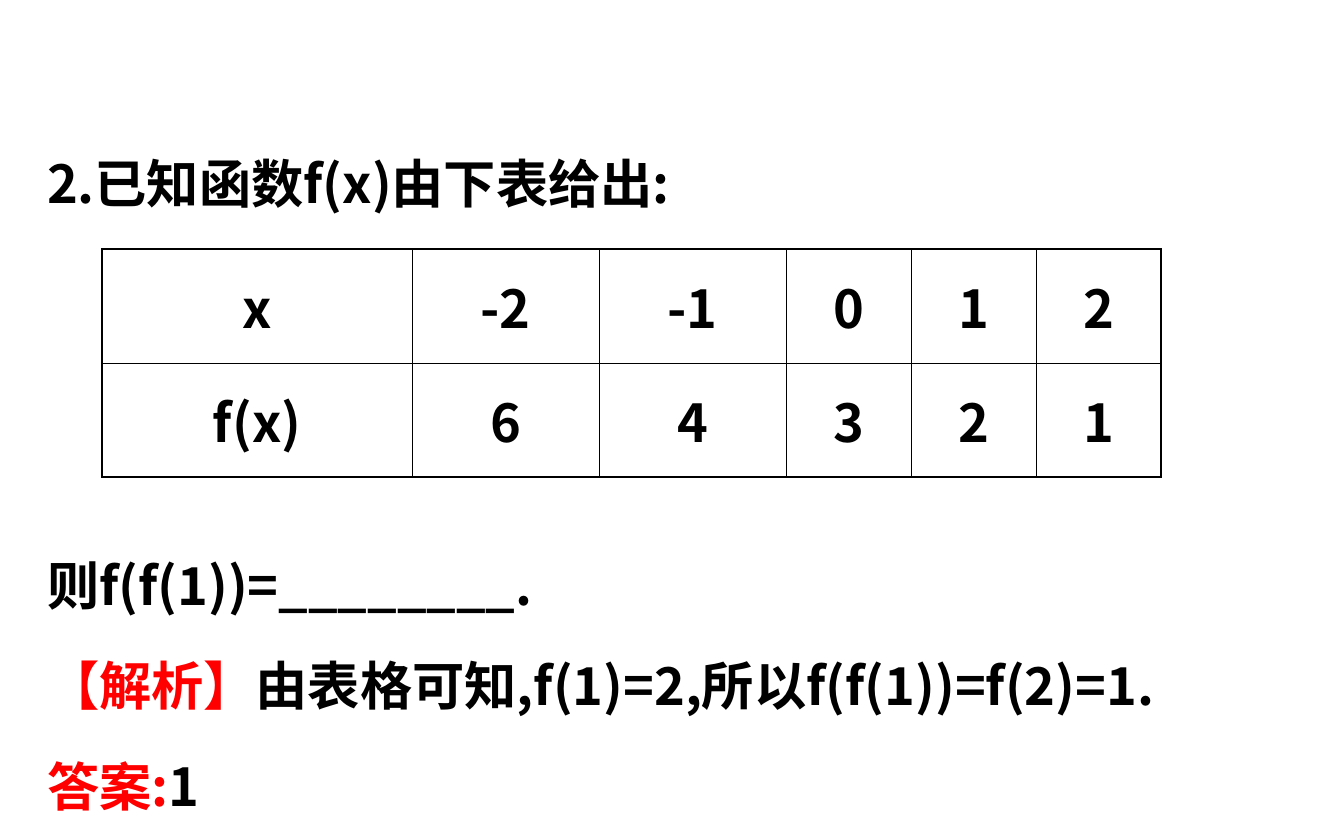
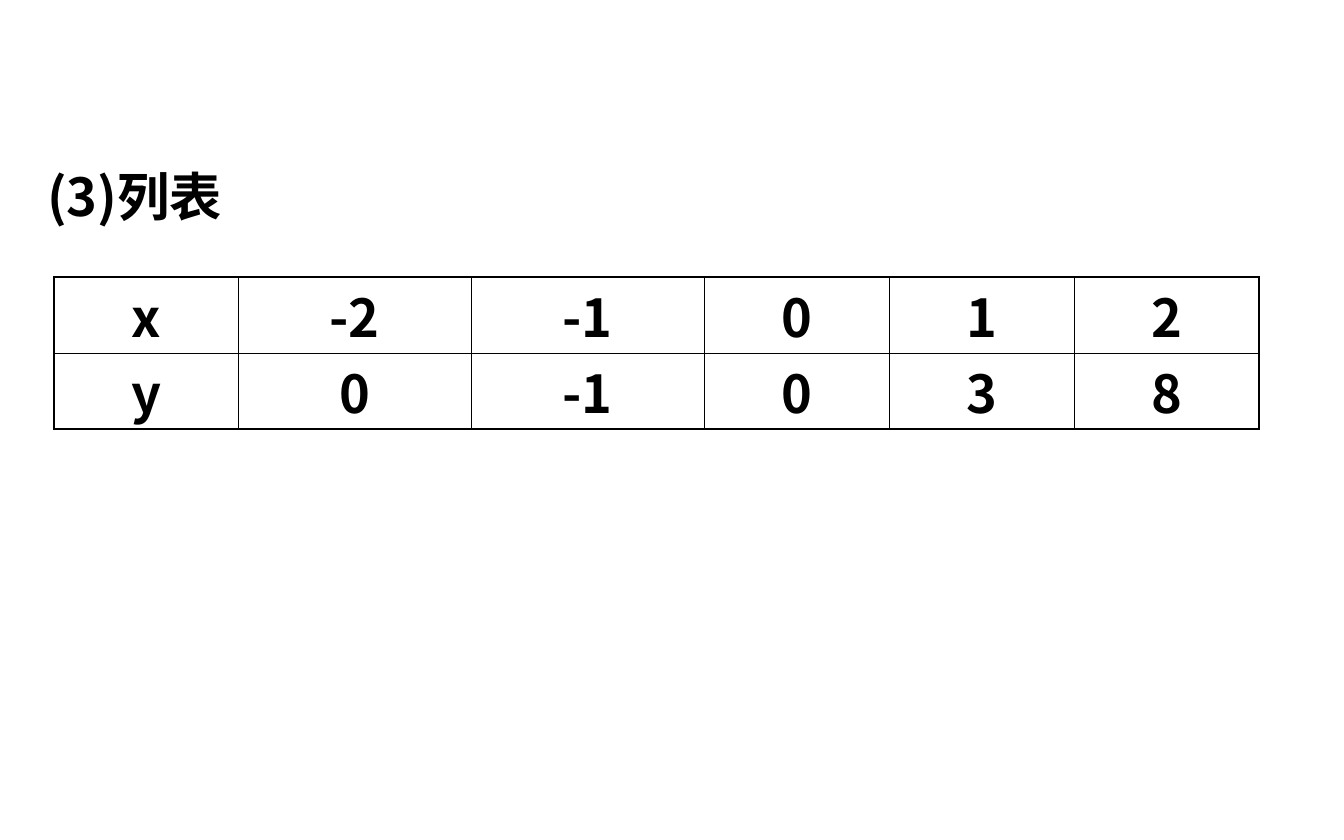
from dataclasses import dataclass
from typing import Any

from lxml.etree import SubElement as Sub
from pptx import Presentation
from pptx.dml.color import RGBColor as Rgb
from pptx.enum.text import MSO_ANCHOR as Anchor, PP_ALIGN as Align
from pptx.oxml import parse_xml
from pptx.oxml.ns import nsdecls, qn
from pptx.util import Emu, Pt

SCALE = 914400 / 134.4


@dataclass(frozen=True)
class Theme:
    font: str = "Noto Sans CJK SC"
    size: int = 28
    lead: float = 33.6
    ink: str = "000000"
    mark: str = "FF0000"
    outer: float = 0.75
    inner: float = 0.45


@dataclass(frozen=True)
class Run:
    text: str
    color: str


@dataclass(frozen=True)
class Line:
    runs: tuple[Run, ...]
    skip: int = 0


@dataclass(frozen=True)
class Note:
    high: int
    ratio: float
    lines: tuple[Line, ...]


@dataclass(frozen=True)
class Grid:
    left: int
    top: int
    cols: tuple[int, ...]
    row: int
    cells: tuple[tuple[str, ...], ...]


@dataclass(frozen=True)
class Page:
    note: Note
    grid: Grid


THEME = Theme()


def px(n: int) -> Emu:
    return Emu(round(n * SCALE))


def put(item: Any, form: dict[str, Any]) -> None:
    for key, value in form.items():
        setattr(item, key, value)


PAD = {"margin_left": px(13), "margin_right": px(13),
       "margin_top": px(13), "margin_bottom": px(0)}
FONT = {"name": THEME.font, "size": Pt(THEME.size), "bold": True}


def plain(text: str) -> Line:
    return Line((Run(text, THEME.ink),))


def write(para: Any, line: Line, lead: float, align: Align) -> None:
    put(para, {"alignment": align, "line_spacing": Pt(lead),
               "space_before": Pt(line.skip * lead)})
    for part in line.runs:
        run = para.add_run()
        run.text = part.text
        put(run.font, FONT)
        run.font.color.rgb = Rgb.from_string(part.color)
        Sub(run.font._element, qn("a:ea"), typeface=THEME.font)


def draw_note(slide: Any, note: Note) -> None:
    box = slide.shapes.add_textbox(px(34), px(101), px(1267), px(note.high))
    frame = box.text_frame
    put(frame, PAD | {"word_wrap": True})
    for i, line in enumerate(note.lines):
        para = frame.add_paragraph() if i else frame.paragraphs[0]
        write(para, line, THEME.lead * note.ratio, Align.LEFT)


def edge(cell: Any, sides: dict[str, bool]) -> None:
    props = cell._tc.get_or_add_tcPr()
    for i, (side, outer) in enumerate(sides.items()):
        wide = Pt(THEME.outer if outer else THEME.inner)
        props.insert(i, parse_xml(
            f'<a:ln{side} {nsdecls("a")} w="{wide}"><a:solidFill>'
            f'<a:srgbClr val="{THEME.ink}"/></a:solidFill></a:ln{side}>'))


def draw_grid(slide: Any, grid: Grid) -> None:
    rows, cols = len(grid.cells), len(grid.cols)
    table = slide.shapes.add_table(
        rows, cols, px(grid.left), px(grid.top),
        px(sum(grid.cols)), px(grid.row * rows)).table
    put(table, {"first_row": False, "horz_banding": False})
    for col, wide in zip(table.columns, grid.cols):
        col.width = px(wide)
    for r, texts in enumerate(grid.cells):
        table.rows[r].height = px(grid.row)
        for c, text in enumerate(texts):
            cell = table.cell(r, c)
            put(cell, PAD | {"vertical_anchor": Anchor.MIDDLE})
            cell.fill.background()
            edge(cell, {"L": c == 0, "R": c == cols - 1,
                        "T": r == 0, "B": r == rows - 1})
            write(cell.text_frame.paragraphs[0], plain(text),
                  THEME.lead, Align.CENTER)


HEAD = ("x", "-2", "-1", "0", "1", "2")
PAGES = (
    Page(
        Note(716, 1.6, (
            plain("2.已知函数f(x)由下表给出:"),
            Line((Run("则f(f(1))=________.", THEME.ink),), skip=3),
            Line((Run("【解析】", THEME.mark),
                  Run("由表格可知,f(1)=2,所以f(f(1))=f(2)=1.", THEME.ink))),
            Line((Run("答案:", THEME.mark), Run("1", THEME.ink))),
        )),
        Grid(102, 249, (310, 187, 187, 125, 125, 125), 114,
             (HEAD, ("f(x)", "6", "4", "3", "2", "1"))),
    ),
    Page(
        Note(126, 1.8, (plain("(3)列表"),)),
        Grid(54, 277, (184, 233, 233, 185, 185, 185), 76,
             (HEAD, ("y", "0", "-1", "0", "3", "8"))),
    ),
)


def main() -> None:
    deck = Presentation()
    put(deck, {"slide_width": px(1344), "slide_height": px(840)})
    for page in PAGES:
        slide = deck.slides.add_slide(deck.slide_layouts[6])
        draw_note(slide, page.note)
        draw_grid(slide, page.grid)
    deck.save("out.pptx")


if __name__ == "__main__":
    main()
